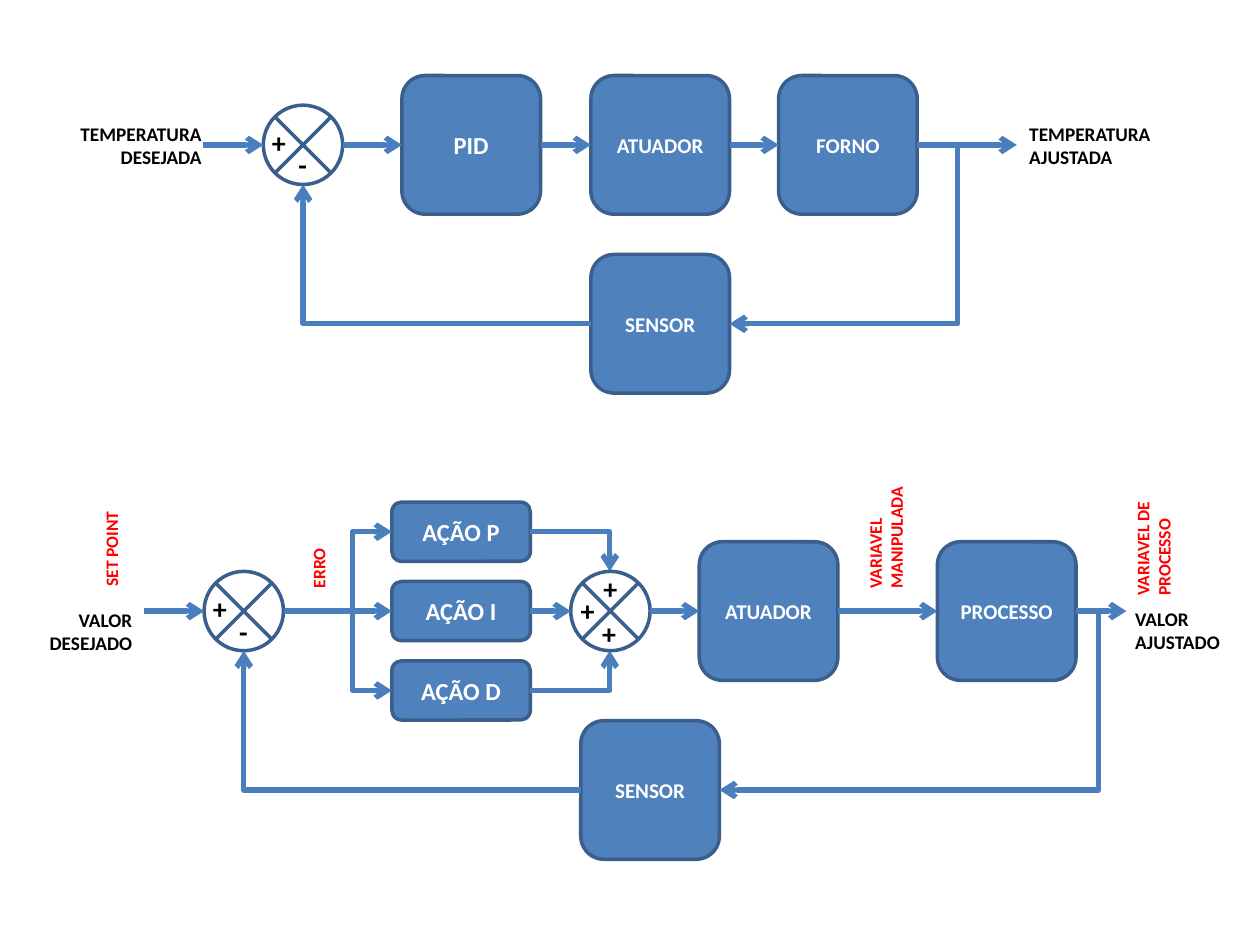
from lxml.etree import SubElement
from pptx import Presentation
from pptx.dml.color import RGBColor
from pptx.enum.shapes import MSO_CONNECTOR as Connector, MSO_SHAPE as Shape
from pptx.enum.text import MSO_ANCHOR as Anchor, MSO_AUTO_SIZE as AutoSize, PP_ALIGN as Align
from pptx.oxml.ns import qn
from pptx.util import Inches, Pt

COLORS = {"block": "4F81BD", "outline": "3A5F8C", "arrow": "4B7EBC",
          "white": "FFFFFF", "black": "000000", "red": "FF0000"}
BLOCK = 1.1
JUNCTION = 0.63
ACTION_HEIGHT = 0.47
TOP_AXIS = 1.15
LOW_AXIS = 4.85
SENSOR_DROP = 1.42
ACTION_STEP = 0.63


def color(name):
    """Return the named colour."""
    return RGBColor.from_string(COLORS[name])


def write(frame, text, size, ink, align):
    """Write each line of text as a bold paragraph."""
    for number, line in enumerate(text.split("\n")):
        para = frame.add_paragraph() if number else frame.paragraphs[0]
        para.alignment = align
        span = para.add_run()
        span.text = line
        for key, value in {"name": "Calibri", "size": Pt(size), "bold": True}.items():
            setattr(span.font, key, value)
        span.font.color.rgb = color(ink)


def add_figure(page, kind, left, middle, width, height, fill):
    """Add an outlined shape centred vertically on middle."""
    figure = page.shapes.add_shape(kind, Inches(left), Inches(middle - height / 2),
                                   Inches(width), Inches(height))
    figure.shadow.inherit = False
    figure.fill.solid()
    figure.fill.fore_color.rgb = color(fill)
    figure.line.color.rgb = color("outline")
    figure.line.width = Pt(2)
    return figure


def add_block(page, text, left, middle, size=12, height=BLOCK):
    """Add a rounded block with a centred name."""
    block = add_figure(page, Shape.ROUNDED_RECTANGLE, left, middle, BLOCK, height, "block")
    block.text_frame.vertical_anchor = Anchor.MIDDLE
    write(block.text_frame, text, size, "white", Align.CENTER)


def add_label(page, text, left, top, width, height, size=11, ink="black",
              align=Align.LEFT, rotation=0):
    """Add a text box that does not wrap."""
    box = page.shapes.add_textbox(Inches(left), Inches(top), Inches(width), Inches(height))
    box.rotation = rotation
    box.text_frame.word_wrap = False
    box.text_frame.auto_size = AutoSize.SHAPE_TO_FIT_TEXT
    write(box.text_frame, text, size, ink, align)


def add_junction(page, left, middle, signs):
    """Add a summing junction with signs at offsets from its corner."""
    add_figure(page, Shape.FLOWCHART_SUMMING_JUNCTION, left, middle,
               JUNCTION, JUNCTION, "white")
    top = middle - JUNCTION / 2
    for sign, across, down, width in signs:
        add_label(page, sign, left + across, top + down, width, 0.37, size=16)


def add_line(page, start, end, arrow="tailEnd", kind=Connector.STRAIGHT):
    """Add a connector with an arrowhead at the chosen end."""
    line = page.shapes.add_connector(kind, *map(Inches, (*start, *end)))
    line.line.color.rgb = color("arrow")
    line.line.width = Pt(3)
    if arrow:
        SubElement(line.line._get_or_add_ln(), qn("a:" + arrow), type="arrow")
    SubElement(line._element.spPr, qn("a:effectLst"))
    return line


def add_elbow(page, start, end, arrow="tailEnd"):
    """Add a connector that runs across first and then up or down."""
    line = add_line(page, start, end, arrow, Connector.ELBOW)
    line._element.spPr.find(qn("a:prstGeom")).set("prst", "bentConnector2")
    frame = line._element.spPr.find(qn("a:xfrm"))
    if frame.get("flipH") and frame.get("flipV"):
        del frame.attrib["flipH"], frame.attrib["flipV"]
        frame.set("rot", str(180 * 60000))


def add_flow(page, axis, spans):
    """Add the straight arrows along an axis."""
    for start, end in spans:
        add_line(page, (start, axis), (end, axis))


def add_feedback(page, axis, sensor, junction, branch):
    """Add the sensor and the loop back to the junction."""
    level = axis + SENSOR_DROP
    add_block(page, "SENSOR", sensor, level)
    add_elbow(page, (sensor, level), (junction + JUNCTION / 2, axis + JUNCTION / 2))
    add_elbow(page, (sensor + BLOCK, level), (branch, axis), "headEnd")


def add_furnace_loop(page, error_signs):
    """Draw the temperature control loop."""
    for text, left, size in (("PID", 3.19, 14), ("ATUADOR", 4.69, 12), ("FORNO", 6.18, 12)):
        add_block(page, text, left, TOP_AXIS, size)
    add_junction(page, 2.09, TOP_AXIS, error_signs)
    add_flow(page, TOP_AXIS, ((1.61, 2.09), (2.72, 3.19), (4.29, 4.69),
                              (5.79, 6.18), (7.28, 8.07)))
    add_feedback(page, TOP_AXIS, 4.69, 2.09, 7.6)
    add_label(page, "TEMPERATURA\nDESEJADA", 0.51, 0.92, 1.19, 0.47, align=Align.RIGHT)
    add_label(page, "TEMPERATURA\nAJUSTADA", 8.07, 0.92, 1.19, 0.47)


def add_actions(page):
    """Draw the three parallel actions and their branches."""
    for step, letter in enumerate("PID", start=-1):
        level = LOW_AXIS + step * ACTION_STEP
        add_block(page, "AÇÃO " + letter, 3.11, level, 14, ACTION_HEIGHT)
        if step:
            add_elbow(page, (3.11, level), (2.8, LOW_AXIS), "headEnd")
            add_elbow(page, (4.21, level), (4.84, LOW_AXIS + step * JUNCTION / 2))


def add_process_loop(page, error_signs):
    """Draw the general process control loop."""
    add_actions(page)
    for text, left in (("ATUADOR", 5.55), ("PROCESSO", 7.44)):
        add_block(page, text, left, LOW_AXIS)
    add_junction(page, 1.62, LOW_AXIS, error_signs)
    add_junction(page, 4.53, LOW_AXIS, (("+", 0.16, -0.05, 0.31), ("+", -0.02, 0.13, 0.31),
                                        ("+", 0.15, 0.31, 0.31)))
    add_line(page, (2.25, LOW_AXIS), (2.8, LOW_AXIS), arrow=None)
    add_flow(page, LOW_AXIS, ((1.14, 1.62), (2.8, 3.11), (4.21, 4.53),
                              (5.16, 5.55), (6.65, 7.44), (8.54, 8.94)))
    add_feedback(page, LOW_AXIS, 4.61, 1.62, 8.72)
    add_label(page, "VALOR\nDESEJADO", 0.28, 4.78, 0.87, 0.47, align=Align.RIGHT)
    add_label(page, "VALOR\nAJUSTADO", 8.91, 4.77, 0.89, 0.47)
    for text, left, top, width, height, align in (
            ("SET POINT", 0.48, 4.23, 0.81, 0.27, Align.RIGHT),
            ("ERRO", 2.27, 4.38, 0.52, 0.27, Align.RIGHT),
            ("VARIAVEL\nMANIPULADA", 6.52, 4.04, 1.02, 0.44, Align.LEFT),
            ("VARIAVEL DE\nPROCESSO", 8.67, 4.12, 0.97, 0.44, Align.LEFT)):
        add_label(page, text, left, top, width, height, 10, "red", align, 270)


def main():
    """Build the slide with both control loops."""
    deck = Presentation()
    deck.slide_width, deck.slide_height = Inches(10), Inches(7.5)
    page = deck.slides.add_slide(deck.slide_layouts[6])
    error_signs = (("+", -0.03, 0.11, 0.31), ("-", 0.18, 0.29, 0.27))
    add_furnace_loop(page, error_signs)
    add_process_loop(page, error_signs)
    deck.save("out.pptx")


if __name__ == "__main__":
    main()
